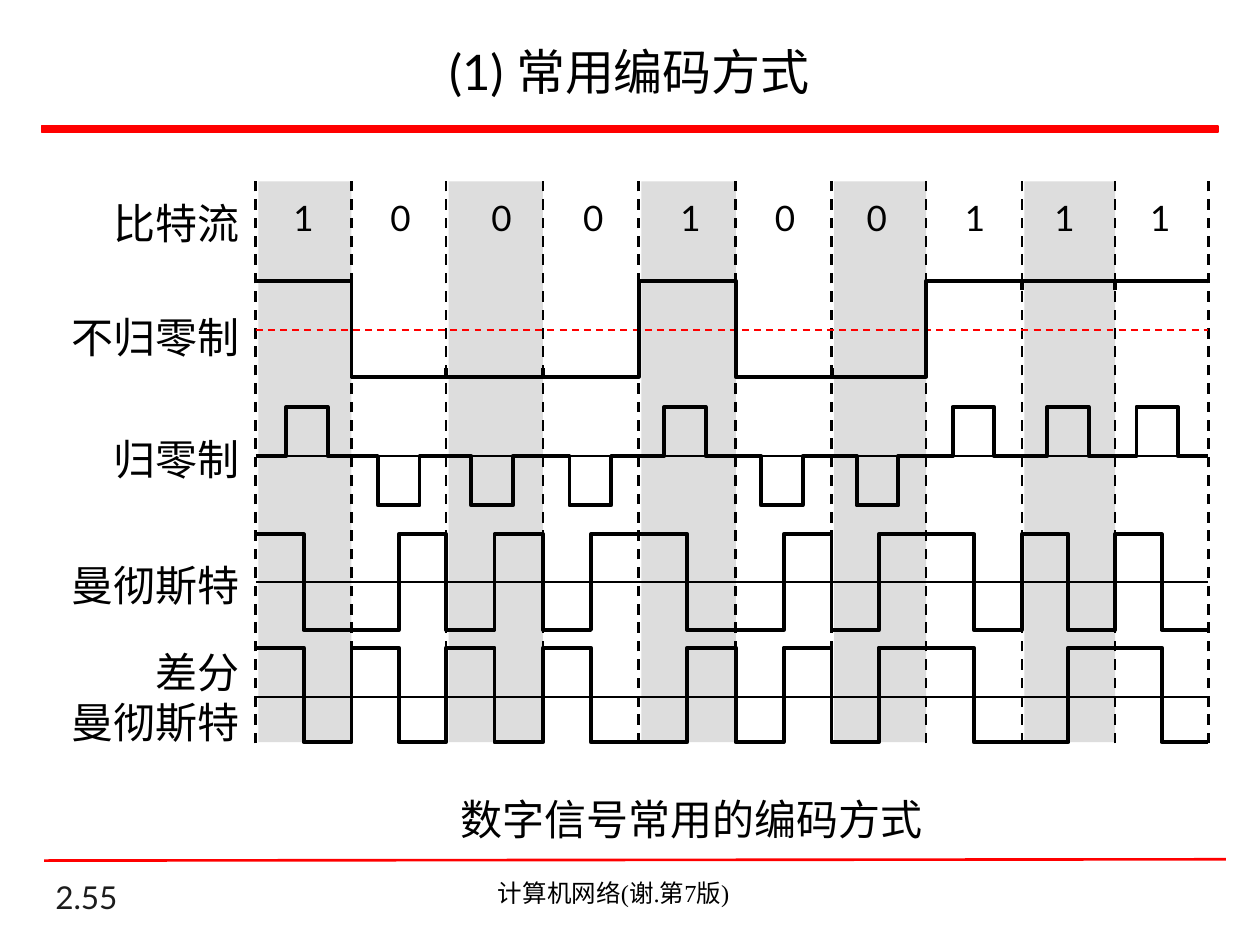
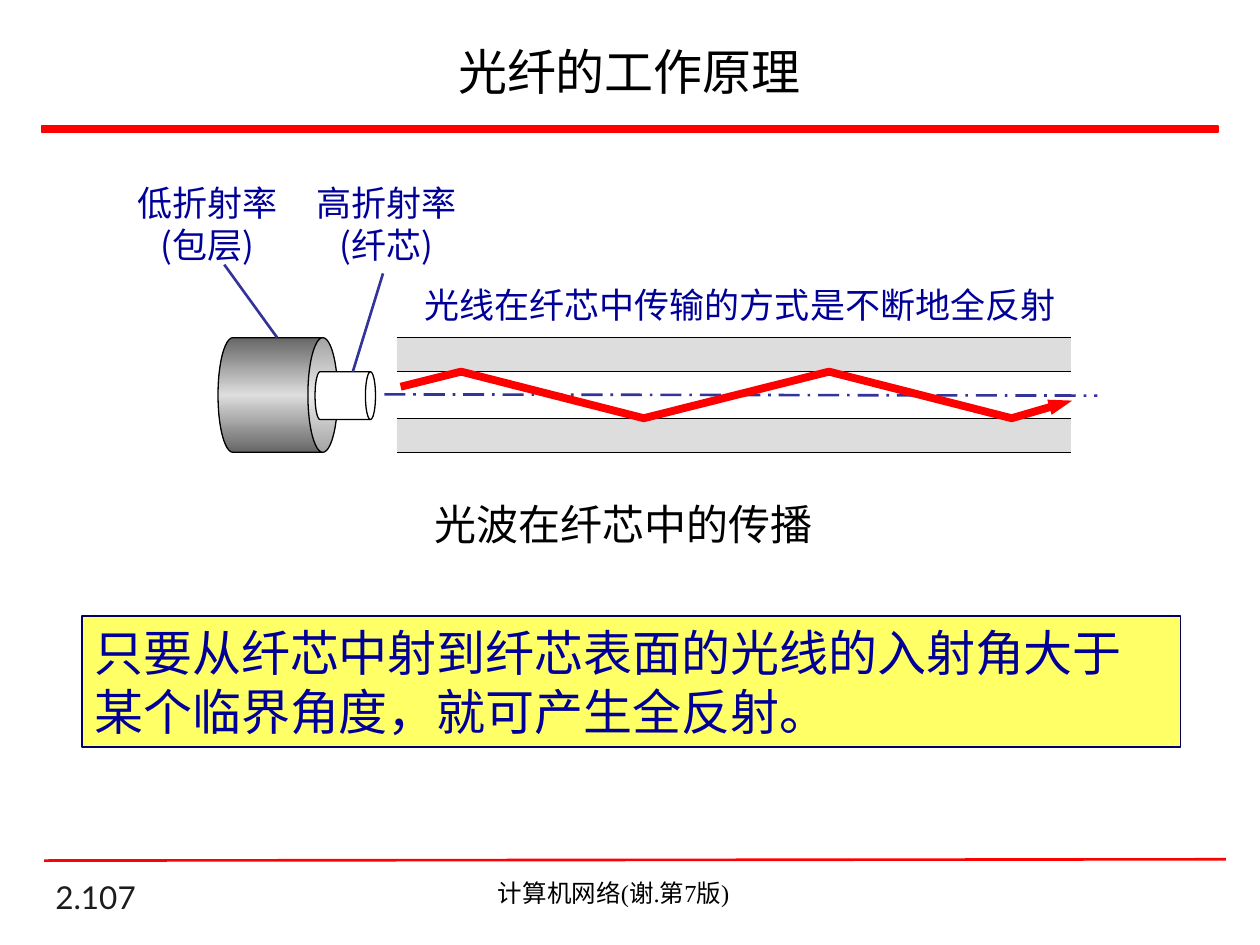
"""Build two slides on line coding and on light in optical fibre."""
import lxml.etree
import pptx
import pptx.dml.color
import pptx.enum.dml
import pptx.enum.shapes
import pptx.enum.text
import pptx.oxml
import pptx.oxml.ns
import pptx.util

Inches = pptx.util.Inches
qn = pptx.oxml.ns.qn
Align = pptx.enum.text.PP_ALIGN
Anchor = pptx.enum.text.MSO_ANCHOR
Shape = pptx.enum.shapes.MSO_SHAPE
Dash = pptx.enum.dml.MSO_LINE
BLACK, RED, GREY, WHITE = "000000", "FF0000", "DDDDDD", "FFFFFF"
NAVY, VIOLET = "000099", "333399"
CJK = "Noto Sans CJK SC"


def paint(fill, colour):
    fill.solid()
    fill.fore_color.rgb = pptx.dml.color.RGBColor.from_string(colour)


def write(page, text, left, top, width, height, size=24, font="Lato", colour=BLACK,
          align=Align.CENTER, anchor=Anchor.TOP):
    box = page.shapes.add_textbox(Inches(left), Inches(top), Inches(width), Inches(height))
    frame = box.text_frame
    frame.word_wrap = True
    frame.vertical_anchor = anchor
    for index, line in enumerate(text.split("\n")):
        para = frame.paragraphs[0] if index == 0 else frame.add_paragraph()
        para.alignment = align
        span = para.add_run()
        span.text = line
        span.font.size = pptx.util.Pt(size)
        span.font.name = font
        paint(span.font.fill, colour)
        lxml.etree.SubElement(span._r.get_or_add_rPr(), qn("a:ea"), typeface=CJK)
    return box


deck = pptx.Presentation()
deck.slide_width, deck.slide_height = Inches(10), Inches(7.5)
coding, fibre = [deck.slides.add_slide(deck.slide_layouts[6]) for _ in range(2)]
rectangles = []
strokes = []

for page, title, number in ((coding, "(1) 常用编码方式", "2.55"), (fibre, "光纤的工作原理", "2.107")):
    write(page, number, 0.34, 6.98, 2.08, 0.34, size=18, colour="1C1C1C",
          align=Align.LEFT, anchor=Anchor.BOTTOM)
    write(page, "计算机网络(谢.第7版)", 2.83, 6.92, 4.08, 0.34, size=14, font="Times New Roman")
    write(page, title, 0.39, 0.22, 9.21, 0.69, size=28, anchor=Anchor.MIDDLE)
    rectangles.append((page, 0.33, 1, 9.34, 0.05, RED, RED))
    strokes.append((page, [(0.35, 6.83), (9.73, 6.82)], RED, 1.5, None))

bits = "1000100111"
edges = [2.03, 2.79, 3.54, 4.31, 5.07, 5.84, 6.6, 7.35, 8.11, 8.85, 9.59]
digit_centers = [2.41, 3.18, 3.98, 4.71, 5.48, 6.23, 6.96, 7.74, 8.45, 9.21]
pulse_lefts = [2.03, 2.76, 3.5, 4.28, 5.03, 5.8, 6.56, 7.32, 8.07, 8.78]
start, end = edges[0], edges[-1]
nrz_high, nrz_low = 2.23, 2.99
rz_zero, rz_swing = 3.62, 0.39

for edge, next_edge in zip(edges[:-1:2], edges[1::2]):
    rectangles.append((coding, edge + 0.02, 1.44, next_edge - edge - 0.02, 4.45, GREY, None))
for edge in edges:
    strokes.append((coding, [(edge, 5.9), (edge, 1.41)], BLACK, 1.5, Dash.DASH))
for middle in (5.53, 4.62, rz_zero):
    strokes.append((coding, [(start, middle), (end, middle)], BLACK, 1, None))
strokes.append((coding, [(start, 2.62), (end, 2.62)], RED, 1, Dash.DASH))

nrz, manchester, differential = [], [], []
level = 0
for index, bit in enumerate(bits):
    high = int(bit)
    nrz += [high, high]
    manchester += [high, 1 - high]
    level = level if bit == "1" and index else 1 - level
    differential += [level, 1 - level]
    level = 1 - level

    left = pulse_lefts[index]
    peak = rz_zero - rz_swing if high else rz_zero + rz_swing
    rise, drop = left + 0.24, left + 0.57
    pulse = [(left, rz_zero), (rise, rz_zero), (rise, peak), (drop, peak),
             (drop, rz_zero), (left + 0.81, rz_zero)]
    strokes.append((coding, pulse, BLACK, 2.25, None))
    if index and bit == bits[index - 1]:
        tick = (nrz_high, nrz_high + 0.07) if high else (nrz_low, nrz_low - 0.07)
        strokes.append((coding, [(edges[index], y) for y in tick], BLACK, 2.25, None))

for halves, top, bottom in ((nrz, nrz_high, nrz_low), (manchester, 4.24, 5), (differential, 5.14, 5.89)):
    wave = []
    for index, (edge, next_edge) in enumerate(zip(edges, edges[1:])):
        middle = (edge + next_edge) / 2
        before, after = [top if half else bottom for half in halves[2 * index:2 * index + 2]]
        wave += [(edge, before), (middle, before), (middle, after), (next_edge, after)]
    strokes.append((coding, wave, BLACK, 2.25, None))

fibre_left, fibre_right = 3.15, 8.5
layers = (2.68, 2.95, 3.32, 3.59)
for top, bottom, colour in zip(layers, layers[1:], (GREY, WHITE, GREY)):
    rectangles.append((fibre, fibre_left, top, fibre_right - fibre_left, bottom - top, colour, None))
for y in layers:
    strokes.append((fibre, [(fibre_left, y), (fibre_right, y)], BLACK, 0.75, None))
strokes += [
    (fibre, [(3.05, 3.13), (8.71, 3.14)], VIOLET, 1.5, Dash.LONG_DASH_DOT),
    (fibre, [(3.04, 2.17), (2.8, 2.95)], VIOLET, 1.5, None),
    (fibre, [(1.78, 2.1), (2.2, 2.68)], VIOLET, 1.5, None),
    (fibre, [(3.18, 3.07), (3.66, 2.95), (5.11, 3.32), (6.58, 2.95), (8.03, 3.32), (8.51, 3.18)],
     RED, 4.5, None),
]

for page, left, top, width, height, colour, outline in rectangles:
    block = page.shapes.add_shape(Shape.RECTANGLE, Inches(left), Inches(top), Inches(width), Inches(height))
    block.shadow.inherit = False
    paint(block.fill, colour)
    if outline:
        paint(block.line.fill, outline)
        block.line.width = pptx.util.Pt(1)
    else:
        block.line.fill.background()

cans = []
for left, top, width, height, depth in ((1.75, 2.66, 0.91, 0.95, 0.26), (2.55, 2.9, 0.38, 0.48, 0.21)):
    can = fibre.shapes.add_shape(Shape.CAN, Inches(left), Inches(top), Inches(width), Inches(height))
    can.rotation = 90
    can.adjustments[0] = depth
    can.shadow.inherit = False
    paint(can.line.fill, BLACK)
    can.line.width = pptx.util.Pt(0.75)
    cans.append(can)
cladding, core = cans
paint(core.fill, WHITE)
stops = "".join(f'<a:gs pos="{place}"><a:srgbClr val="{colour}"/></a:gs>'
                for place, colour in ((0, "666666"), (50000, GREY), (100000, "666666")))
gradient = pptx.oxml.parse_xml(
    f'<a:gradFill {pptx.oxml.ns.nsdecls("a")} rotWithShape="1"><a:gsLst>{stops}</a:gsLst>'
    '<a:lin ang="0" scaled="1"/></a:gradFill>')
cladding._element.spPr.find(qn("a:prstGeom")).addnext(gradient)

for page, points, colour, weight, dash in strokes:
    places = [(Inches(x), Inches(y)) for x, y in points]
    if len(places) == 2:
        stroke = page.shapes.add_connector(pptx.enum.shapes.MSO_CONNECTOR.STRAIGHT, *places[0], *places[1])
        lxml.etree.SubElement(stroke._element.spPr, qn("a:effectLst"))
    else:
        builder = page.shapes.build_freeform(*places[0])
        builder.add_line_segments(places[1:], close=False)
        stroke = builder.convert_to_shape()
        stroke.shadow.inherit = False
        stroke.fill.background()
    paint(stroke.line.fill, colour)
    stroke.line.width = pptx.util.Pt(weight)
    if dash:
        stroke.line.dash_style = dash
light_ray = stroke
lxml.etree.SubElement(light_ray._element.spPr.find(qn("a:ln")), qn("a:tailEnd"), type="triangle", w="sm")

for bit, center in zip(bits, digit_centers):
    write(coding, bit, center - 0.18, 1.51, 0.36, 0.43, size=20)
for label, top, height in (("比特流", 1.52, 0.5), ("不归零制", 2.42, 0.5), ("归零制", 3.39, 0.5),
                           ("曼彻斯特", 4.39, 0.5), ("差分\n曼彻斯特", 5.08, 0.91)):
    write(coding, label, 0.29, top, 1.71, height, align=Align.RIGHT)
write(coding, "数字信号常用的编码方式", 2.97, 6.25, 5.03, 0.5)

for label, left in (("低折射率\n(包层)", 0.9), ("高折射率\n(纤芯)", 2.32)):
    write(fibre, label, left, 1.39, 1.5, 0.77, size=20, font=CJK, colour=NAVY)
write(fibre, "光线在纤芯中传输的方式是不断地全反射", 3.27, 2.2, 5.28, 0.44,
      size=20, font=CJK, colour=NAVY, align=Align.LEFT)
write(fibre, "光波在纤芯中的传播", 2.17, 3.91, 5.55, 0.5)
conclusion = write(fibre, "只要从纤芯中射到纤芯表面的光线的入射角大于某个临界角度，就可产生全反射。",
                   0.65, 4.89, 8.72, 1.04, size=28, colour=NAVY, align=Align.LEFT)
paint(conclusion.fill, "FFFF66")
paint(conclusion.line.fill, "000066")
conclusion.line.width = pptx.util.Pt(0.75)

deck.save("out.pptx")
